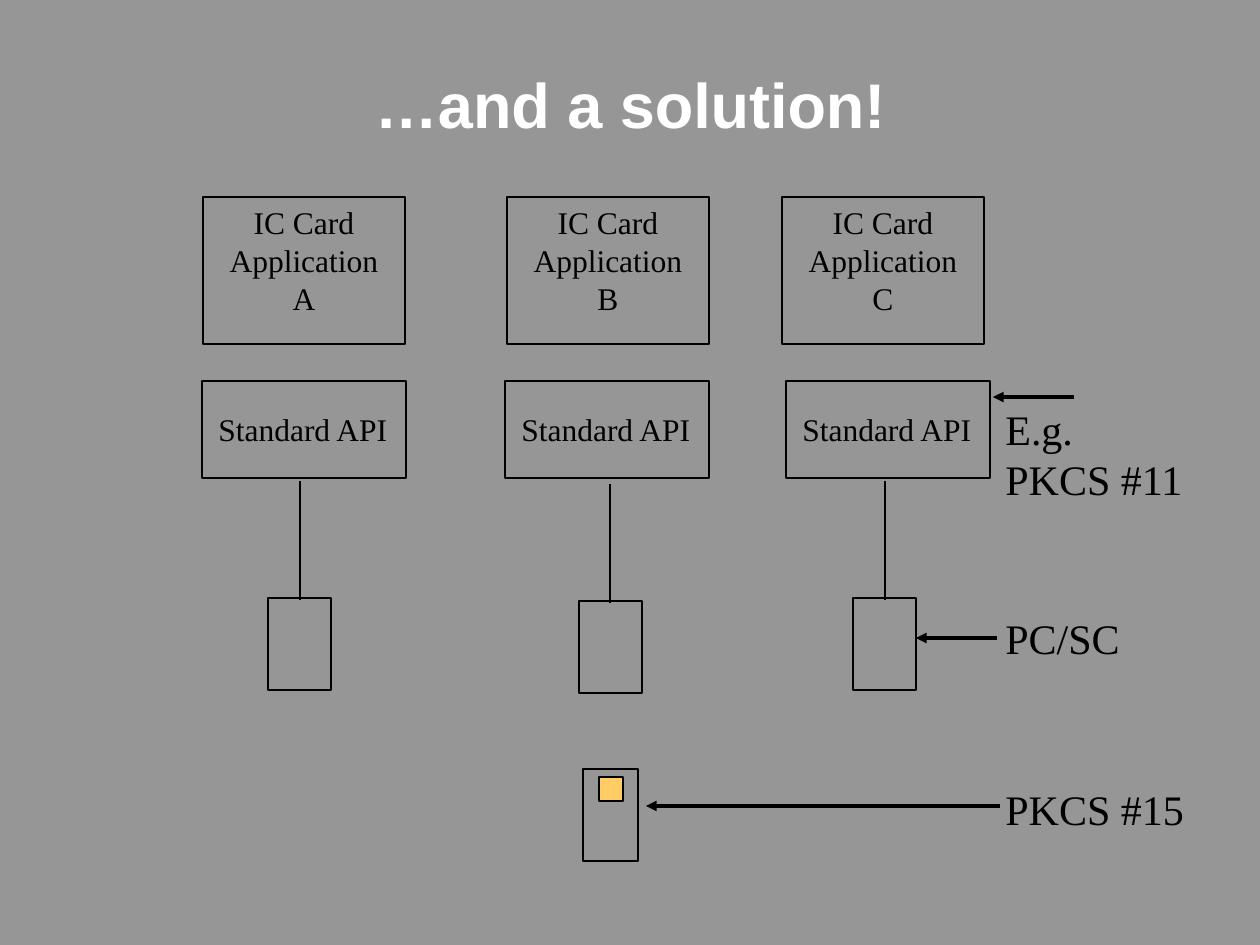
from typing import NamedTuple

from pptx import Presentation
from pptx.dml.color import RGBColor
from pptx.enum.shapes import MSO_CONNECTOR, MSO_SHAPE
from pptx.enum.text import MSO_ANCHOR, PP_ALIGN
from pptx.oxml.ns import qn
from pptx.util import Emu, Pt
from lxml.etree import SubElement

PX = 914400 / 126
BLACK, WHITE, GREY, GOLD = "000000", "FFFFFF", "969696", "FFCC66"
BODY_FONT = "Times New Roman"


class Column(NamedTuple):
    """One application stack; drop moves its reader and line down."""
    letter: str
    application: int
    api: int
    line: int
    reader: int
    drop: int


class Label(NamedTuple):
    lines: list[str]
    top: int
    width: int
    height: int


class Arrow(NamedTuple):
    tip: int
    tail: int
    y: int


COLUMNS = [
    Column("A", 203, 202, 300, 268, 0),
    Column("B", 507, 505, 610, 579, 3),
    Column("C", 782, 786, 885, 853, 0),
]
LABEL_LEFT = 993
LABELS = [
    Label(["E.g.", "PKCS #11"], 397, 204, 113),
    Label(["PC/SC"], 606, 140, 63),
    Label(["PKCS #15"], 777, 204, 63),
]
ARROWS = [Arrow(993, 1074, 397), Arrow(916, 997, 638), Arrow(646, 1000, 806)]


def px(*lengths: int) -> list[Emu]:
    return [Emu(round(length * PX)) for length in lengths]


def colour(value: str) -> RGBColor:
    return RGBColor.from_string(value)


def format_font(font, name: str, size: int, ink: str, bold: bool = False) -> None:
    values = {"name": name, "size": Pt(size), "bold": bold}
    for key, value in values.items():
        setattr(font, key, value)
    font.color.rgb = colour(ink)


def add_rectangle(page, left: int, top: int, width: int, height: int,
                  fill: str | None = None) -> None:
    box = page.shapes.add_shape(MSO_SHAPE.RECTANGLE, *px(left, top, width, height))
    box.shadow.inherit = False
    if fill:
        box.fill.solid()
        box.fill.fore_color.rgb = colour(fill)
    else:
        box.fill.background()
    box.line.color.rgb = colour(BLACK)
    box.line.width = Pt(1)


def add_text(page, lines: list[str], left: int, top: int, width: int, height: int,
             size: int, align: PP_ALIGN = PP_ALIGN.LEFT) -> None:
    frame = page.shapes.add_textbox(*px(left, top, width, height)).text_frame
    frame.word_wrap = False
    frame.text = "\n".join(lines)
    for para in frame.paragraphs:
        para.alignment = align
        for span in para.runs:
            format_font(span.font, BODY_FONT, size, BLACK)


def add_line(page, start: tuple[int, int], end: tuple[int, int],
             weight: int = 1, arrow: bool = False) -> None:
    line = page.shapes.add_connector(MSO_CONNECTOR.STRAIGHT, *px(*start, *end))
    line.line.color.rgb = colour(BLACK)
    line.line.width = Pt(weight)
    if arrow:
        SubElement(line.line._get_or_add_ln(), qn("a:headEnd"), type="triangle")
    SubElement(line._element.spPr, qn("a:effectLst"))


def add_title(page, text: str) -> None:
    title = page.shapes.title
    title.left, title.top, title.width, title.height = px(158, 21, 945, 158)
    frame = title.text_frame
    frame.text = text
    frame.vertical_anchor = MSO_ANCHOR.MIDDLE
    para = frame.paragraphs[0]
    para.alignment = PP_ALIGN.CENTER
    para.line_spacing = 1.1
    format_font(para.runs[0].font, "Arial", 36, WHITE, bold=True)


def add_column(page, column: Column) -> None:
    # Application
    add_rectangle(page, column.application, 197, 202, 147)
    add_text(page, ["IC Card", "Application", column.letter],
             column.application + 14, 197, 174, 126, 18, PP_ALIGN.CENTER)
    # Programming interface
    add_rectangle(page, column.api, 381, 204, 97)
    add_text(page, ["Standard API"], column.api + 4, 404, 195, 50, 18)
    # Card reader
    add_line(page, (column.line, 481 + column.drop), (column.line, 600 + column.drop))
    add_rectangle(page, column.reader, 598 + column.drop, 63, 92)


def main() -> None:
    deck = Presentation()
    deck.slide_width, deck.slide_height = px(1260, 945)
    page = deck.slides.add_slide(deck.slide_layouts[5])
    page.background.fill.solid()
    page.background.fill.fore_color.rgb = colour(GREY)
    add_title(page, "…and a solution!")

    for column in COLUMNS:
        add_column(page, column)

    # Card with its chip
    add_rectangle(page, 583, 769, 55, 92)
    add_rectangle(page, 599, 777, 24, 24, GOLD)

    # Standards on the right
    for label in LABELS:
        add_text(page, label.lines, LABEL_LEFT, label.top, label.width, label.height, 24)
    for arrow in ARROWS:
        add_line(page, (arrow.tip, arrow.y), (arrow.tail, arrow.y), 2, arrow=True)

    deck.save("out.pptx")


if __name__ == "__main__":
    main()
